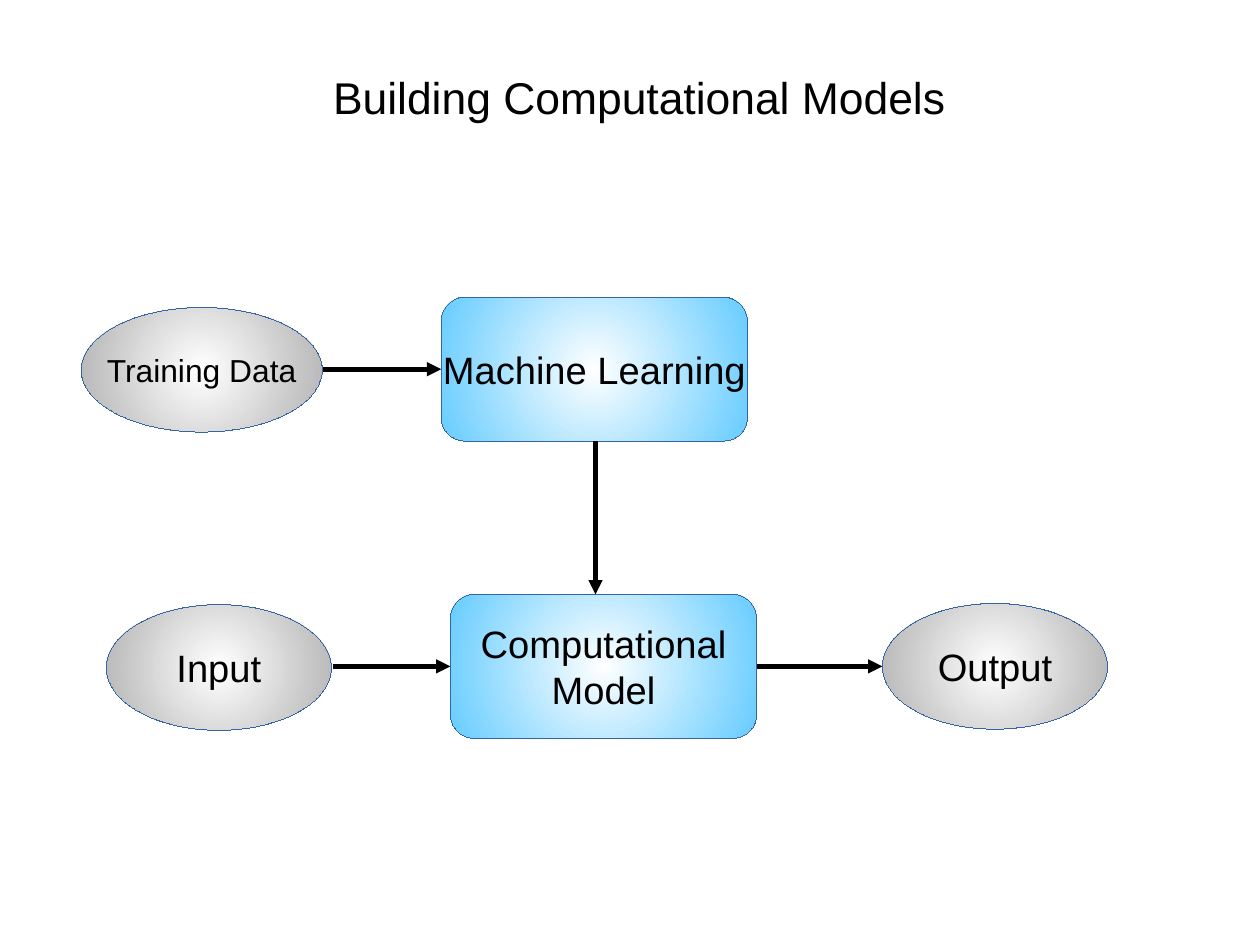
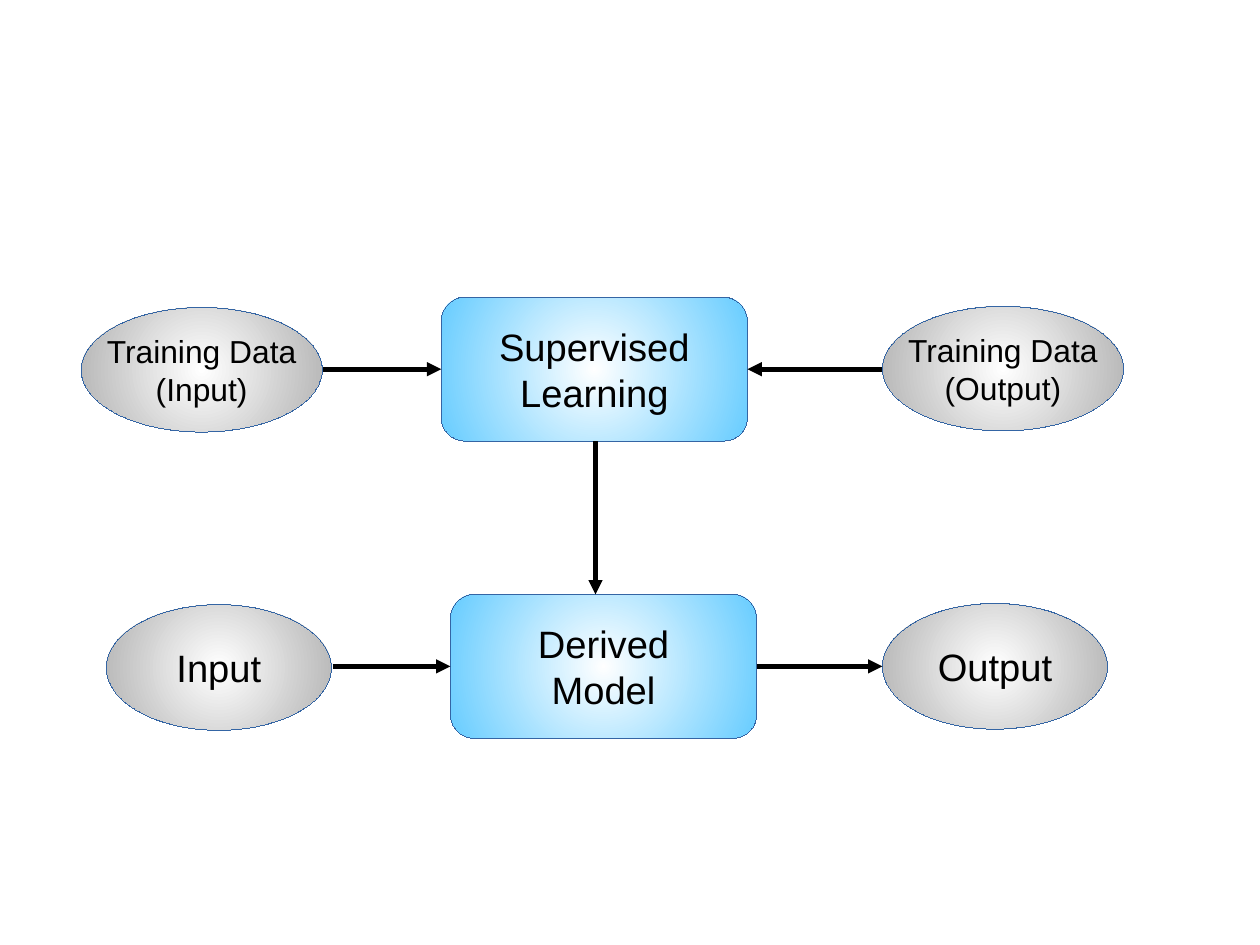
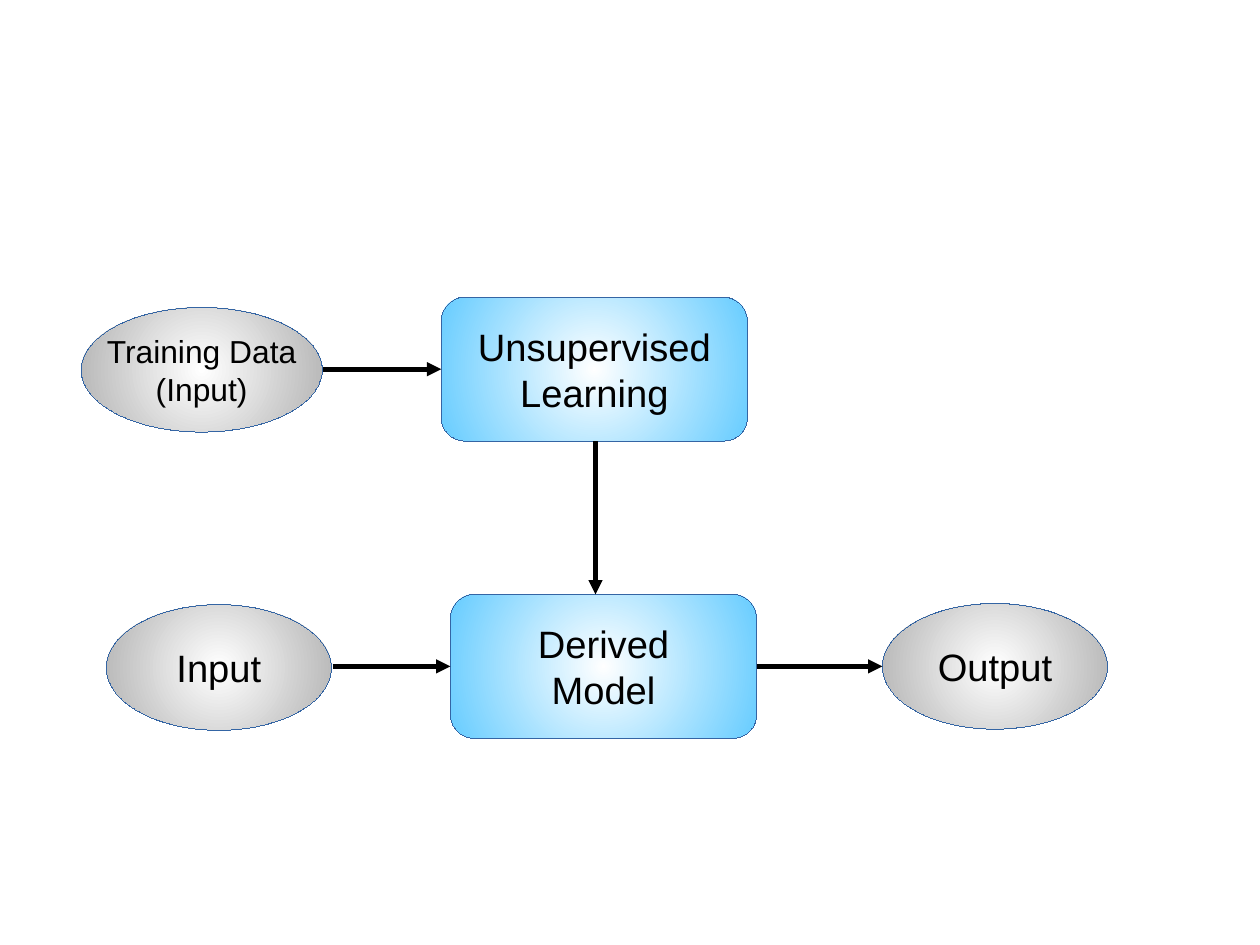
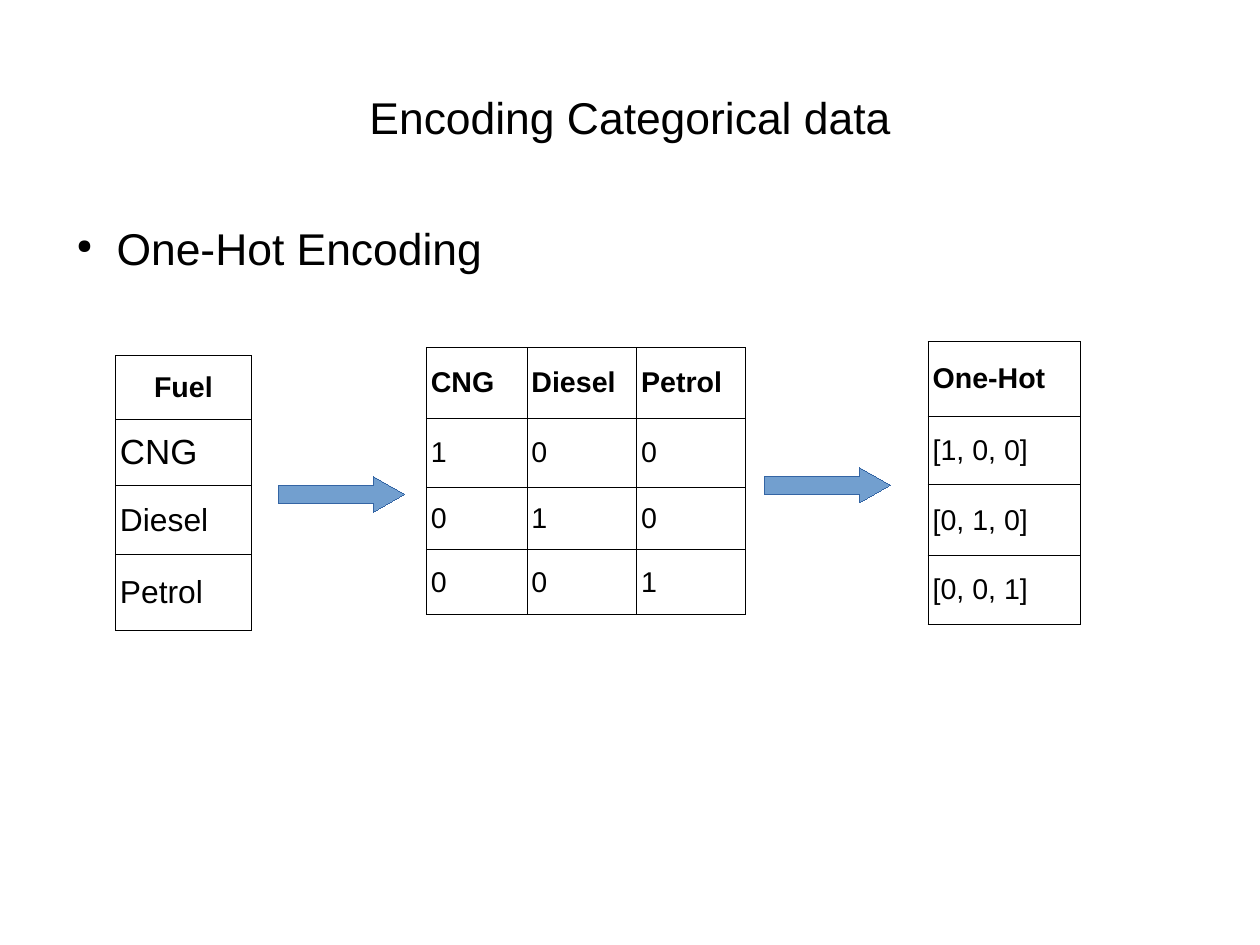
from dataclasses import dataclass

from lxml import etree
from pptx import Presentation
from pptx import util as u
from pptx.dml.color import RGBColor
from pptx.enum import shapes, text
from pptx.oxml import ns

SCALE = 9144  # EMU in one px, at 100 px to the inch
PAGE = (u.Cm(28), u.Cm(21))


@dataclass(frozen=True)
class Theme:
    font: str = "Arial"
    ink: str = "000000"
    paper: str = "FFFFFF"
    edge: str = "3465A4"
    blue: str = "66CCFF"
    grey: str = "B2B2B2"
    arrow: str = "729FCF"
    title: int = 28
    label: int = 24
    data: int = 20
    cell: int = 18
    rule: float = 0.57
    link: int = 3


THEME = Theme()


@dataclass(frozen=True)
class Kind:
    shape: shapes.MSO_SHAPE
    color: str
    wide: int
    high: int
    size: int


BOX = Kind(shapes.MSO_SHAPE.ROUNDED_RECTANGLE, THEME.blue, 268, 126, THEME.label)
OVAL = Kind(shapes.MSO_SHAPE.OVAL, THEME.grey, 197, 110, THEME.label)
DATA = Kind(shapes.MSO_SHAPE.OVAL, THEME.grey, 211, 109, THEME.data)


@dataclass(frozen=True)
class Node:
    kind: Kind
    left: int
    top: int
    words: str


@dataclass(frozen=True)
class Link:
    x1: int
    y1: int
    x2: int
    y2: int


@dataclass(frozen=True)
class Flow:
    learn: str
    model: str
    data: str
    goal: str = ""
    title: str = ""


@dataclass(frozen=True)
class Grid:
    left: int
    top: int
    cols: tuple[int, ...]
    rows: tuple[int, ...]
    cells: tuple[tuple[str, ...], ...]
    sizes: tuple[int, ...] = (THEME.cell,) * 4
    mid_head: bool = False


FLOWS = (
    Flow("Machine Learning", "Computational\nModel", "Training Data",
         title="Building Computational Models"),
    Flow("Supervised\nLearning", "Derived\nModel", "Training Data\n(Input)",
         goal="Training Data\n(Output)"),
    Flow("Unsupervised\nLearning", "Derived\nModel", "Training Data\n(Input)"),
)

LINKS = (
    Link(291, 583, 394, 583),
    Link(662, 583, 772, 583),
    Link(283, 323, 386, 323),
    Link(521, 386, 521, 520),
)

FUELS = ("CNG", "Diesel", "Petrol")
CODES = tuple(tuple(int(i == j) for j in range(3)) for i in range(3))

GRIDS = (
    Grid(101, 311, (119,), (56, 58, 60, 67),
         (("Fuel",), *((fuel,) for fuel in FUELS)), (18, 22, 20, 20), True),
    Grid(373, 304, (88, 96, 95), (62, 60, 55, 57),
         (FUELS, *(tuple(map(str, code)) for code in CODES))),
    Grid(812, 299, (133,), (65, 60, 62, 60),
         (("One-Hot",), *((str(list(code)),) for code in CODES))),
)


def px(*sizes: int) -> list[u.Emu]:
    return [u.Emu(size * SCALE) for size in sizes]


def rgb(color: str) -> RGBColor:
    return RGBColor.from_string(color)


def style(frame, size: int, align=text.PP_ALIGN.LEFT, bold: bool = False) -> None:
    for para in frame.paragraphs:
        para.alignment = align
        for run in para.runs:
            run.font.name = THEME.font
            run.font.size = u.Pt(size)
            run.font.bold = bold
            run.font.color.rgb = rgb(THEME.ink)


def add_text(slide, left: int, top: int, wide: int, high: int, words: str):
    frame = slide.shapes.add_textbox(*px(left, top, wide, high)).text_frame
    frame.margin_left = frame.margin_right = 0
    frame.margin_top = frame.margin_bottom = 0
    frame.word_wrap = True
    frame.text = words
    style(frame, THEME.title)
    return frame


def add_title(slide, left: int, top: int, words: str) -> None:
    frame = add_text(slide, left, top, 992, 138, words)
    frame.vertical_anchor = text.MSO_ANCHOR.MIDDLE
    frame.paragraphs[0].alignment = text.PP_ALIGN.CENTER


def add_bullet(slide, words: str) -> None:
    para = add_text(slide, 55, 193, 992, 479, words).paragraphs[0]
    para.space_before = u.Pt(14.2)
    props = para._p.get_or_add_pPr()
    left, dent = px(47, -35)
    props.set("marL", str(left))
    props.set("indent", str(dent))
    tint = etree.SubElement(props, ns.qn("a:buClr"))
    etree.SubElement(tint, ns.qn("a:srgbClr"), val=THEME.ink)
    etree.SubElement(props, ns.qn("a:buSzPct"), val="45000")
    etree.SubElement(props, ns.qn("a:buChar"), char="●")


def glow(shape, color: str) -> None:
    """Fill with a round gradient, from paper at the centre to color."""
    shape.fill.gradient()
    for stop, tone in zip(shape.fill.gradient_stops, (THEME.paper, color)):
        stop.color.rgb = rgb(tone)
    grad = shape.element.spPr.find(ns.qn("a:gradFill"))
    grad.remove(grad.find(ns.qn("a:lin")))
    route = etree.SubElement(grad, ns.qn("a:path"), path="circle")
    etree.SubElement(route, ns.qn("a:fillToRect"),
                     dict.fromkeys("ltrb", "50000"))


def add_shape(slide, kind, left: int, top: int, wide: int, high: int):
    """Add a shape with a hairline edge; its zero width must be explicit."""
    shape = slide.shapes.add_shape(kind, *px(left, top, wide, high))
    shape.shadow.inherit = False
    shape.line.color.rgb = rgb(THEME.edge)
    shape.element.spPr.find(ns.qn("a:ln")).set("w", "0")
    return shape


def add_node(slide, node: Node) -> None:
    kind = node.kind
    shape = add_shape(slide, kind.shape, node.left, node.top, kind.wide, kind.high)
    glow(shape, kind.color)
    frame = shape.text_frame
    frame.word_wrap = False
    frame.vertical_anchor = text.MSO_ANCHOR.MIDDLE
    frame.text = node.words
    style(frame, kind.size, text.PP_ALIGN.CENTER)


def add_link(slide, link: Link) -> None:
    line = slide.shapes.add_connector(
        shapes.MSO_CONNECTOR.STRAIGHT, *px(link.x1, link.y1, link.x2, link.y2))
    line.line.color.rgb = rgb(THEME.ink)
    line.line.width = u.Pt(THEME.link)
    props = line.element.spPr
    etree.SubElement(props.find(ns.qn("a:ln")), ns.qn("a:tailEnd"), type="triangle")
    etree.SubElement(props, ns.qn("a:effectLst"))


def add_arrow(slide, left: int, top: int) -> None:
    shape = add_shape(slide, shapes.MSO_SHAPE.RIGHT_ARROW, left, top, 110, 31)
    shape.adjustments[1] = 0.875
    shape.fill.solid()
    shape.fill.fore_color.rgb = rgb(THEME.arrow)


def frame_cell(cell) -> None:
    """Rule all four sides; the rules must precede the fill."""
    cell.fill.background()
    props = cell._tc.get_or_add_tcPr()
    for spot, side in enumerate("LRTB"):
        rule = etree.Element(ns.qn(f"a:ln{side}"), w=str(u.Pt(THEME.rule)))
        fill = etree.SubElement(rule, ns.qn("a:solidFill"))
        etree.SubElement(fill, ns.qn("a:srgbClr"), val=THEME.ink)
        props.insert(spot, rule)


def add_grid(slide, grid: Grid) -> None:
    table = slide.shapes.add_table(
        len(grid.rows), len(grid.cols),
        *px(grid.left, grid.top, sum(grid.cols), sum(grid.rows))).table
    table.first_row = table.horz_banding = False
    for col, wide in zip(table.columns, px(*grid.cols)):
        col.width = wide
    for row, high in zip(table.rows, px(*grid.rows)):
        row.height = high
    for i, words in enumerate(grid.cells):
        head = i == 0
        mid = head and grid.mid_head
        align = text.PP_ALIGN.CENTER if mid else text.PP_ALIGN.LEFT
        for j, word in enumerate(words):
            cell = table.cell(i, j)
            cell.margin_left, cell.margin_right = px(4, 4)
            cell.margin_top, cell.margin_bottom = px(5, 5)
            cell.vertical_anchor = text.MSO_ANCHOR.MIDDLE
            cell.text_frame.text = word
            style(cell.text_frame, grid.sizes[i], align, head)
            frame_cell(cell)


def draw_flow(slide, flow: Flow) -> None:
    if flow.title:
        add_title(slide, 63, 16, flow.title)
    nodes = [
        Node(BOX, 394, 520, flow.model),
        Node(OVAL, 93, 529, "Input"),
        Node(OVAL, 772, 528, "Output"),
        Node(BOX, 386, 260, flow.learn),
        Node(DATA, 71, 269, flow.data),
    ]
    links = list(LINKS)
    if flow.goal:
        nodes.append(Node(DATA, 772, 268, flow.goal))
        links.append(Link(772, 323, 654, 323))
    for node in nodes:
        add_node(slide, node)
    for link in links:
        add_link(slide, link)


def draw_codes(slide) -> None:
    add_title(slide, 55, 33, "Encoding Categorical data")
    add_bullet(slide, "One-Hot Encoding")
    for grid in GRIDS:
        add_grid(slide, grid)
    add_arrow(slide, 244, 417)
    add_arrow(slide, 669, 409)


def main() -> None:
    deck = Presentation()
    deck.slide_width, deck.slide_height = PAGE
    blank = deck.slide_layouts[6]
    for flow in FLOWS:
        draw_flow(deck.slides.add_slide(blank), flow)
    draw_codes(deck.slides.add_slide(blank))
    deck.save("out.pptx")


if __name__ == "__main__":
    main()
